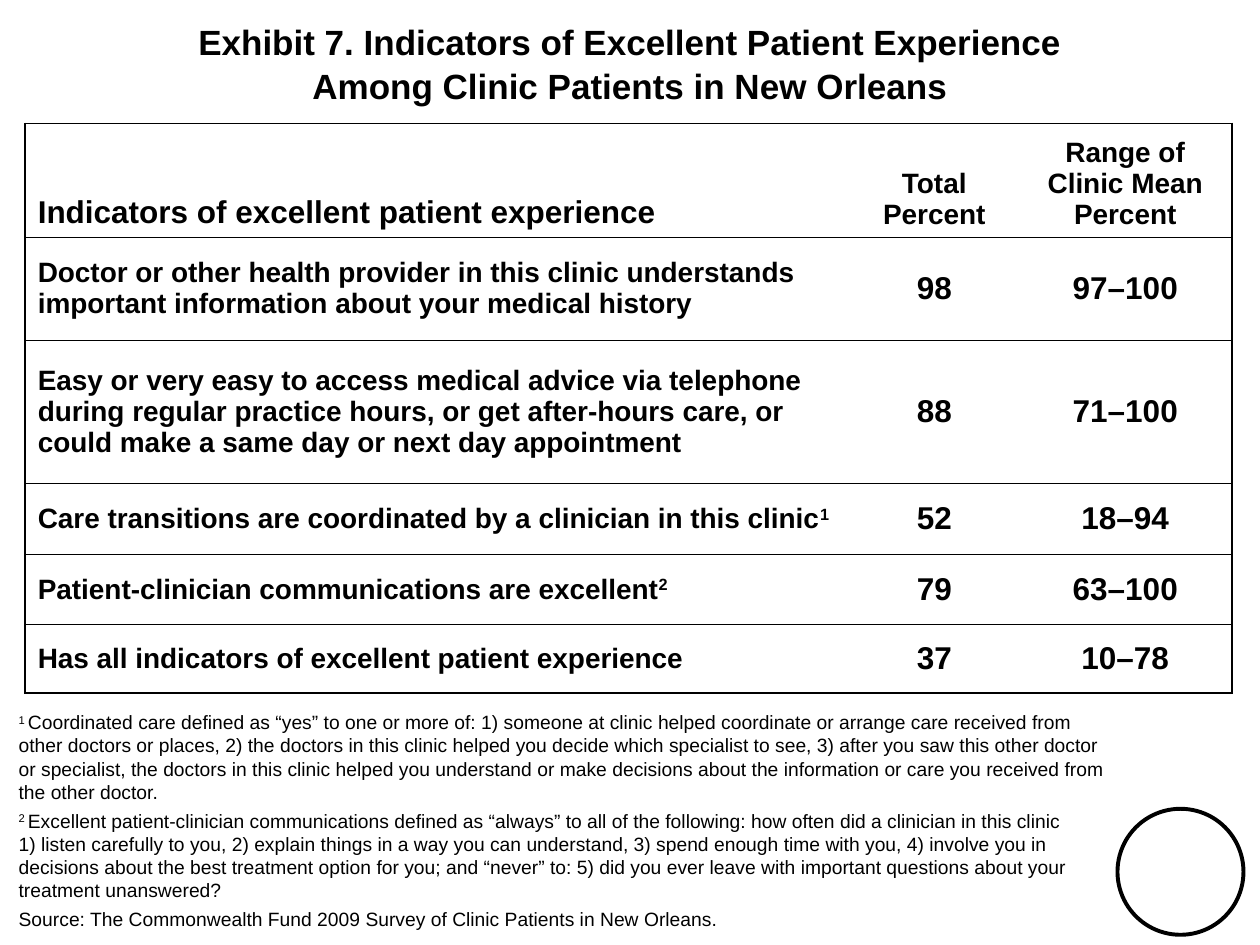
from pptx import Presentation
from pptx.dml.color import RGBColor
from pptx.enum.shapes import MSO_SHAPE as SHAPE
from pptx.enum.text import MSO_ANCHOR as ANCHOR, PP_ALIGN as ALIGN
from pptx.oxml.ns import qn
from pptx.util import Pt
from lxml import etree

BLACK = RGBColor(0, 0, 0)
WHITE = RGBColor(255, 255, 255)
FONT = "Arial"
THICK, THIN = 1.08, 0.45

TITLE = ("Exhibit 7. Indicators of Excellent Patient Experience\n"
         "Among Clinic Patients in New Orleans")
COL_WIDTHS = [471.6, 95.8, 122.4]
ROW_HEIGHTS = [64.8, 59, 82, 40.3, 40.3, 38.9]
ROWS = [
    ("Indicators of excellent patient experience", "Total Percent",
     "Range of Clinic Mean Percent"),
    ("Doctor or other health provider in this clinic understands important "
     "information about your medical history", "98", "97–100"),
    ("Easy or very easy to access medical advice via telephone during regular "
     "practice hours, or get after-hours care, or could make a same day or "
     "next day appointment", "88", "71–100"),
    ("Care transitions are coordinated by a clinician in this clinic^1^",
     "52", "18–94"),
    ("Patient-clinician communications are excellent^2^", "79", "63–100"),
    ("Has all indicators of excellent patient experience", "37", "10–78"),
]
NOTES = [
    "^1 ^Coordinated care defined as “yes” to one or more of: 1) someone at "
    "clinic helped coordinate or arrange care received from other doctors or "
    "places, 2) the doctors in this clinic helped you decide which specialist "
    "to see, 3) after you saw this other doctor or specialist, the doctors in "
    "this clinic helped you understand or make decisions about the information "
    "or care you received from the other doctor.",
    "^2 ^Excellent patient-clinician communications defined as “always” to all "
    "of the following: how often did a clinician in this clinic\n"
    "1) listen carefully to you, 2) explain things in a way you can understand, "
    "3) spend enough time with you, 4) involve you in decisions about the best "
    "treatment option for you; and “never” to: 5) did you ever leave with "
    "important questions about your treatment unanswered?",
    "Source: The Commonwealth Fund 2009 Survey of Clinic Patients in New Orleans.",
]


def write(p, text, size=16, bold=False, align=ALIGN.LEFT, before=None, spacing=None):
    p.alignment = align
    if before is not None:
        p.space_before = Pt(before)
    if spacing is not None:
        p.line_spacing = spacing
    for i, part in enumerate(text.split("^")):
        for j, line in enumerate(part.split("\n")):
            if j:
                p.add_line_break()
            if not line:
                continue
            r = p.add_run()
            r.text = line
            r.font.name, r.font.size, r.font.bold = FONT, Pt(size), bold
            r.font.color.rgb = BLACK
            if i % 2:
                r.font._element.set("baseline", "30000")


def add_text(s, box, paragraphs, before=0, **fmt):
    tf = s.shapes.add_textbox(*map(Pt, box)).text_frame
    tf.word_wrap = True
    for i, text in enumerate(paragraphs):
        p = tf.add_paragraph() if i else tf.paragraphs[0]
        write(p, text, before=before if i else None, **fmt)


def set_borders(cell, widths):
    tcPr = cell._tc.get_or_add_tcPr()
    for i, (side, width) in enumerate(widths.items()):
        ln = etree.Element(qn("a:ln" + side), w=str(Pt(width)))
        if width:
            fill = etree.SubElement(ln, qn("a:solidFill"))
            etree.SubElement(fill, qn("a:srgbClr"), val=str(BLACK))
        else:
            etree.SubElement(ln, qn("a:noFill"))
        tcPr.insert(i, ln)


def add_indicator_table(s, left, top):
    n_rows, n_cols = len(ROWS), len(COL_WIDTHS)
    table = s.shapes.add_table(n_rows, n_cols, Pt(left), Pt(top),
                               Pt(sum(COL_WIDTHS)), Pt(sum(ROW_HEIGHTS))).table
    for column, width in zip(table.columns, COL_WIDTHS):
        column.width = Pt(width)
    for i, (row, height) in enumerate(zip(table.rows, ROW_HEIGHTS)):
        row.height = Pt(height)
        for j, cell in enumerate(row.cells):
            cell.fill.solid()
            cell.fill.fore_color.rgb = WHITE
            cell.margin_left = cell.margin_right = Pt(7.2)
            cell.margin_top = cell.margin_bottom = Pt(3.6)
            cell.vertical_anchor = ANCHOR.MIDDLE if i else ANCHOR.BOTTOM
            write(cell.text_frame.paragraphs[0], ROWS[i][j], bold=True,
                  size=18 if (i == 0) == (j == 0) else 16,
                  align=ALIGN.CENTER if j else ALIGN.LEFT)
            set_borders(cell, {
                "L": 0 if j else THICK,
                "R": THICK if j == n_cols - 1 else 0,
                "T": THIN if i else THICK,
                "B": THICK if i == n_rows - 1 else THIN,
            })


def add_emblem(s, left, top, size):
    sp = s.shapes.add_shape(SHAPE.OVAL, *map(Pt, (left, top, size, size)))
    sp.shadow.inherit = False
    sp.fill.background()
    sp.line.color.rgb = BLACK
    sp.line.width = Pt(2.25)


def main():
    prs = Presentation()
    prs.slide_width, prs.slide_height = Pt(720), Pt(540)
    s = prs.slides.add_slide(prs.slide_layouts[6])
    add_emblem(s, 638.6, 462.2, 72)
    add_text(s, (0, 7.2, 720, 90), [TITLE], size=20, bold=True,
             align=ALIGN.CENTER, spacing=1.04)
    add_indicator_table(s, 14.4, 70.6)
    add_text(s, (3.6, 402.5, 635.8, 133.2), NOTES, size=11, before=3.4)
    prs.save("out.pptx")


if __name__ == "__main__":
    main()
